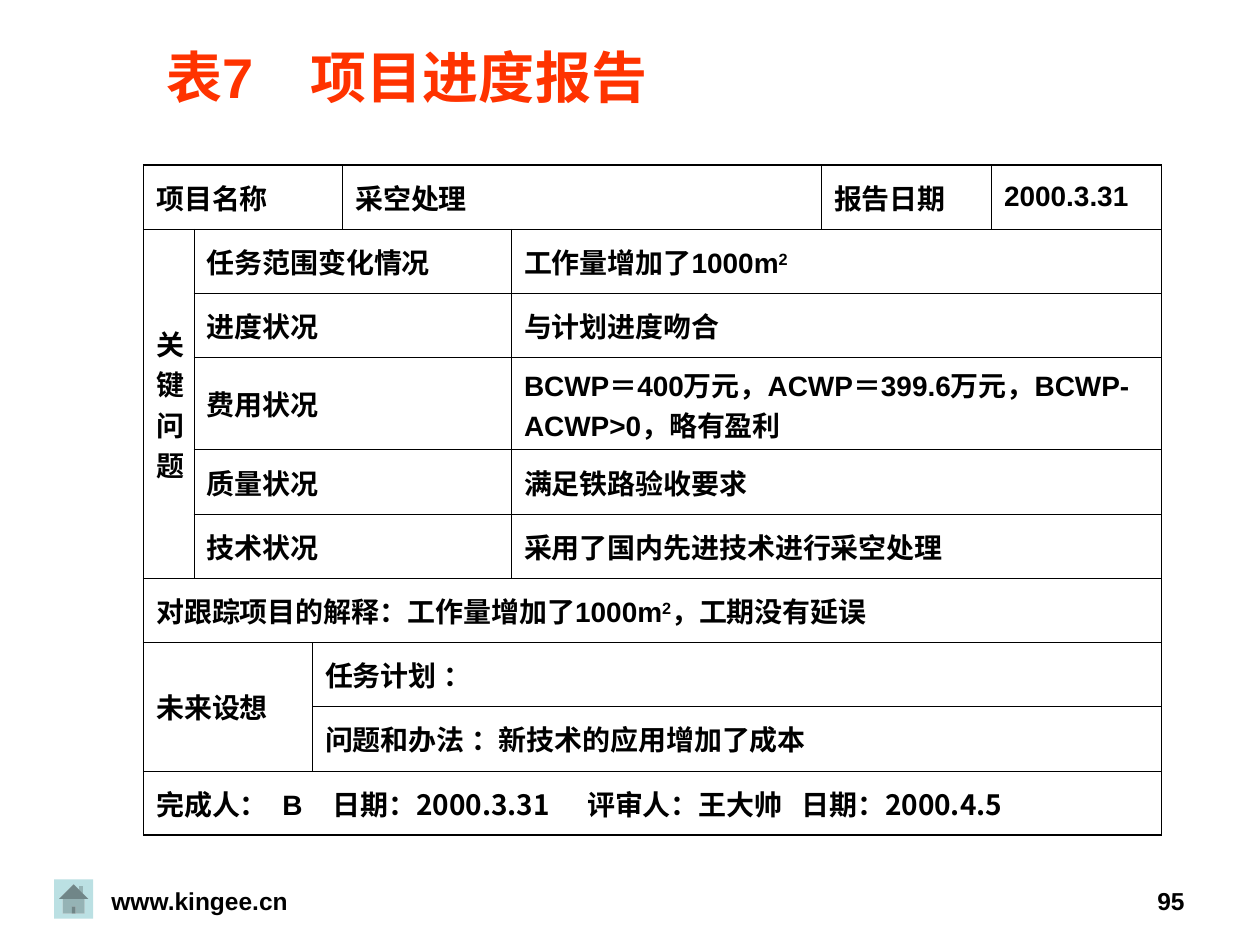
import pptx
import pptx.util
import pptx.dml.color
import pptx.enum.shapes
import pptx.enum.text
import pptx.oxml.ns
import lxml.etree

COLORS = {"ink": "000000", "title": "FF3300", "button": "BBE0E3"}
LATIN, CJK = "Arial", "Noto Sans CJK SC"
NO_STYLE = "{2D5ABB26-0587-4C30-8999-92F81FD0307C}"
THIN, THICK = 0.45, 1.08

SLIDE_WIDTH, SLIDE_HEIGHT = 10, 7.5
TABLE_LEFT, TABLE_TOP = 1.14, 1.31
COLUMNS = [0.4, 0.94, 0.24, 1.34, 2.46, 1.35, 1.35]
ROW, TALL_ROW = 0.51, 0.73
ROWS = [ROW] * 3 + [TALL_ROW] + [ROW] * 6
SIGNATURE_TABS = [1, 1.4, 3.42, 5.12]
TITLE_TABS = [1.15]

ISSUES = [
    ("任务范围变化情况", [("工作量增加了1000m", LATIN), ("2", LATIN, 30)]),
    ("进度状况", [("与计划进度吻合", LATIN)]),
    ("费用状况", [("BCWP＝400万元，ACWP＝399.6万元，BCWP-ACWP>0，略有盈利", LATIN)]),
    ("质量状况", [("满足铁路验收要求", LATIN)]),
    ("技术状况", [("采用了国内先进技术进行采空处理", LATIN)]),
]

ENTRIES = [
    (0, 0, 1, 3, [("项目名称", CJK)]),
    (0, 3, 1, 2, [("采空处理", LATIN)]),
    (0, 5, 1, 1, [("报告日期", CJK)]),
    (0, 6, 1, 1, [("2000.3.31", LATIN)]),
    (1, 0, 5, 1, [("关键问题", CJK)]),
    (6, 0, 1, 7, [("对跟踪项目的解释：", CJK), ("工作量增加了1000m", LATIN),
                  ("2", LATIN, 30), ("，工期没有延误", LATIN)]),
    (7, 0, 2, 2, [("未来设想", CJK)]),
    (7, 2, 1, 5, [("任务计划", CJK), (" ：", LATIN)]),
    (8, 2, 1, 5, [("问题和办法", CJK), (" ：新技术的应用增加了成本", LATIN)]),
    (9, 0, 1, 7, [("完成人：\t", CJK), ("B\t", LATIN),
                  ("日期：2000.3.31\t评审人：王大帅\t日期：2000.4.5", CJK)]),
]
for issue_row, (issue, status) in enumerate(ISSUES, 1):
    ENTRIES += [(issue_row, 1, 1, 3, [(issue, CJK)]), (issue_row, 4, 1, 3, status)]

inch = pptx.util.Inches
qn = pptx.oxml.ns.qn


def child(parent, tag, **attributes):
    return lxml.etree.SubElement(parent, qn(tag), {k: str(v) for k, v in attributes.items()})


def write(frame, runs, size, color="ink", align=None, tabs=()):
    paragraph = frame.paragraphs[0]
    paragraph.alignment = align
    if tabs:
        tab_list = child(paragraph._p.get_or_add_pPr(), "a:tabLst")
        for position in tabs:
            child(tab_list, "a:tab", pos=inch(position), algn="l")
    for words, face, *baseline in runs:
        run = paragraph.add_run()
        run.text = words
        run.font.size = pptx.util.Pt(size)
        run.font.bold = True
        run.font.name = face
        run.font.color.rgb = pptx.dml.color.RGBColor.from_string(COLORS[color])
        properties = run._r.get_or_add_rPr()
        child(properties, "a:ea", typeface=CJK)
        if baseline:
            properties.set("baseline", str(baseline[0] * 1000))
    return paragraph


def add_label(slide, box, runs, size, anchor=pptx.enum.text.MSO_ANCHOR.TOP, **style):
    frame = slide.shapes.add_textbox(*map(inch, box)).text_frame
    frame.word_wrap = True
    frame.vertical_anchor = anchor
    return write(frame, runs, size, **style)


def draw_border(cell, side, width):
    line = child(cell._tc.get_or_add_tcPr(), f"a:ln{side}", w=pptx.util.Pt(width))
    child(child(line, "a:solidFill"), "a:srgbClr", val=COLORS["ink"])


def add_report(slide):
    frame = slide.shapes.add_table(len(ROWS), len(COLUMNS), inch(TABLE_LEFT), inch(TABLE_TOP),
                                   inch(sum(COLUMNS)), inch(sum(ROWS)))
    report = frame.table
    report._tbl.tblPr.find(qn("a:tableStyleId")).text = NO_STYLE
    report.first_row = report.horz_banding = False
    for column, width in zip(report.columns, COLUMNS):
        column.width = inch(width)
    for row, height in zip(report.rows, ROWS):
        row.height = inch(height)
    for top, left, height, width, runs in ENTRIES:
        bottom, right = top + height, left + width
        entry = report.cell(top, left)
        if height * width > 1:
            entry.merge(report.cell(bottom - 1, right - 1))
        for r in range(top, bottom):
            for c in range(left, right):
                cell = report.cell(r, c)
                origin = (r, c) == (top, left)
                for side, touches, outer in (
                    ("L", c == left, left == 0),
                    ("R", c == right - 1, right == len(COLUMNS)),
                    ("T", r == top, top == 0),
                    ("B", r == bottom - 1, bottom == len(ROWS)),
                ):
                    if origin or touches:
                        draw_border(cell, side, THICK if outer else THIN)
                cell.fill.background()
        entry.vertical_anchor = pptx.enum.text.MSO_ANCHOR.MIDDLE
        write(entry.text_frame, runs, 16, tabs=SIGNATURE_TABS if bottom == len(ROWS) else ())


def main():
    deck = pptx.Presentation()
    deck.slide_width, deck.slide_height = inch(SLIDE_WIDTH), inch(SLIDE_HEIGHT)
    slide = deck.slides.add_slide(deck.slide_layouts[6])
    align = pptx.enum.text.PP_ALIGN

    home = slide.shapes.add_shape(pptx.enum.shapes.MSO_SHAPE.ACTION_BUTTON_HOME,
                                  *map(inch, (0.43, 6.98, 0.31, 0.31)))
    home.shadow.inherit = False
    home.fill.solid()
    home.fill.fore_color.rgb = pptx.dml.color.RGBColor.from_string(COLORS["button"])
    home.line.fill.background()

    add_label(slide, (0, 6.98, 3.17, 0.52), [("www.kingee.cn", LATIN)], 14, align=align.CENTER)
    add_label(slide, (7.17, 6.98, 2.33, 0.52), [("95", LATIN)], 14, align=align.RIGHT)
    add_report(slide)
    title = add_label(slide, (1.22, 0.36, 8.5, 0.49), [("表7\t项目进度报告", LATIN)], 32,
                      anchor=pptx.enum.text.MSO_ANCHOR.MIDDLE, color="title", tabs=TITLE_TABS)
    effects = lxml.etree.Element(qn("a:effectLst"))
    shadow = child(effects, "a:outerShdw", dist=pptx.util.Pt(2), dir=2700000)
    child(shadow, "a:srgbClr", val=COLORS["ink"])
    title.runs[0]._r.rPr.find(qn("a:solidFill")).addnext(effects)
    deck.save("out.pptx")


if __name__ == "__main__":
    main()
